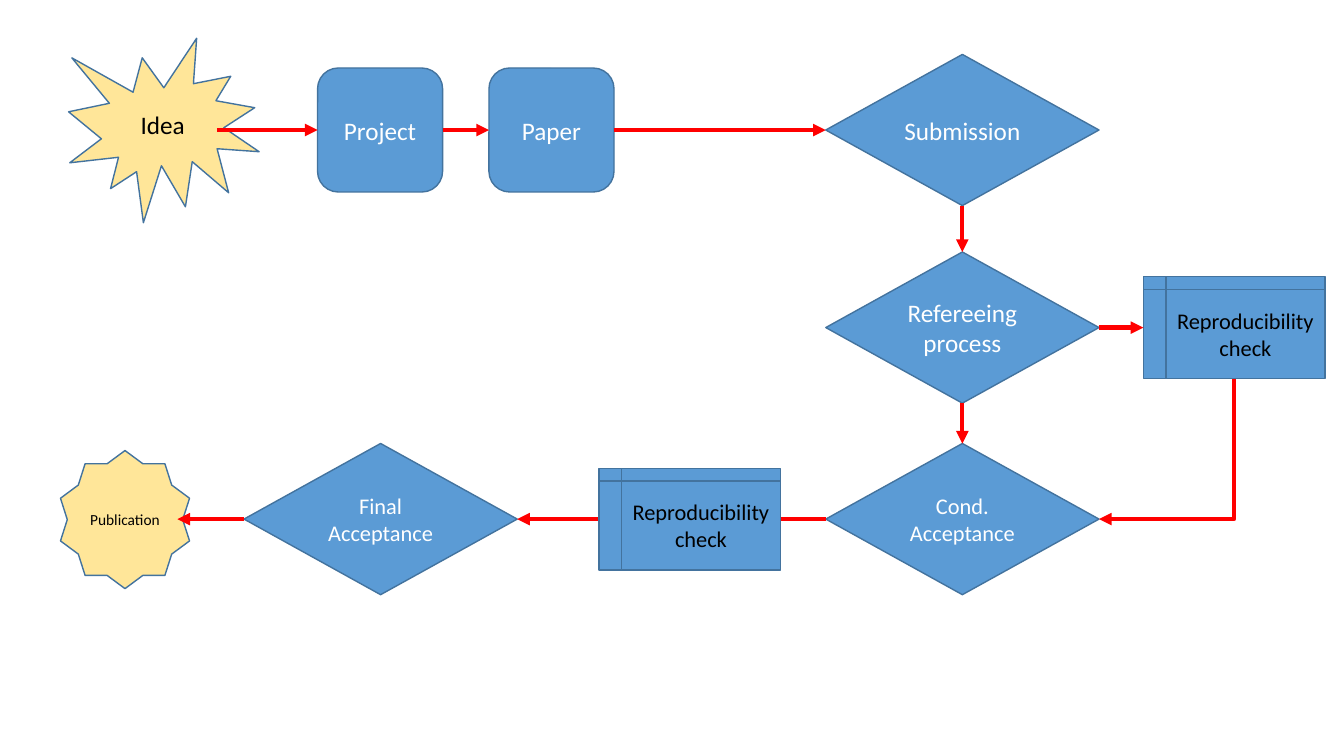
from lxml import etree
from pptx import Presentation
from pptx.dml.color import RGBColor
from pptx.enum.shapes import MSO_CONNECTOR, MSO_SHAPE
from pptx.enum.text import MSO_ANCHOR, PP_ALIGN
from pptx.oxml.ns import qn
from pptx.util import Inches, Pt

BURST, BADGE = MSO_SHAPE.EXPLOSION1, MSO_SHAPE.STAR_10_POINT
STEP = MSO_SHAPE.FLOWCHART_ALTERNATE_PROCESS
DECISION = MSO_SHAPE.FLOWCHART_DECISION
STORAGE = MSO_SHAPE.FLOWCHART_INTERNAL_STORAGE
STRAIGHT, ELBOW = MSO_CONNECTOR.STRAIGHT, MSO_CONNECTOR.ELBOW
CENTER, MIDDLE = PP_ALIGN.CENTER, MSO_ANCHOR.MIDDLE

BLUE, YELLOW, OUTLINE, RED = "5B9BD5", "FFE699", "43739E", "FF0000"
WHITE, BLACK = "FFFFFF", "000000"
STEP_W, STEP_H = 1.24, 1.23
DECISION_W, DECISION_H = 2.71, 1.5
CHECK_W, CHECK_H = 1.8, 1.01


def rgb(value):
    """Turn a hex string into a colour."""
    return RGBColor.from_string(value)


def add_node(s, kind, x, y, w, h, text, size, fill=BLUE, color=WHITE):
    """Add an outlined flowchart shape with centred text."""
    sp = s.shapes.add_shape(kind, Inches(x), Inches(y), Inches(w), Inches(h))
    sp.shadow.inherit = False
    sp.fill.solid()
    sp.fill.fore_color.rgb = rgb(fill)
    sp.line.color.rgb = rgb(OUTLINE)
    sp.line.width = Pt(1)
    tf = sp.text_frame
    tf.word_wrap = True
    tf.vertical_anchor = MIDDLE
    tf.text = text
    for p in tf.paragraphs:
        p.alignment = CENTER
        p.font.name = "Calibri"
        p.font.size = Pt(size)
        p.font.color.rgb = rgb(color)


def add_decision(s, x, y, text, size):
    """Add a decision diamond."""
    add_node(s, DECISION, x, y, DECISION_W, DECISION_H, text, size)


def add_check(s, x, mid):
    """Add a reproducibility check centred on the height mid."""
    add_node(s, STORAGE, x, mid - CHECK_H / 2, CHECK_W, CHECK_H,
             "Reproducibility check", 16, color=BLACK)


def add_arrow(s, x1, y1, x2, y2, kind=STRAIGHT):
    """Add a red connector with an arrowhead at its end."""
    c = s.shapes.add_connector(kind, Inches(x1), Inches(y1), Inches(x2), Inches(y2))
    c.line.color.rgb = rgb(RED)
    c.line.width = Pt(3)
    etree.SubElement(c.line._get_or_add_ln(), qn("a:tailEnd"), type="triangle")
    etree.SubElement(c._element.spPr, qn("a:effectLst"))
    return c


def add_corner_arrow(s, x1, y1, x2, y2):
    """Add an arrow that runs down and then left."""
    cx, cy = (x1 + x2) / 2, (y1 + y2) / 2
    across, down = (x1 - x2) / 2, (y2 - y1) / 2
    c = add_arrow(s, cx - down, cy - across, cx + down, cy + across, ELBOW)
    c._element.spPr.find(qn("a:prstGeom")).set("prst", "bentConnector2")
    c._element.spPr.find(qn("a:xfrm")).set("rot", "5400000")


def draw_preparation(s, x, y, w):
    """Draw the row from idea to paper, ending w inches from x."""
    mid = y + 0.91
    steps = [(x + 2.47, "Project"), (x + 4.17, "Paper")]
    add_node(s, BURST, x, y, 1.89, 1.83, "Idea", 18, YELLOW, BLACK)
    for left, text in steps:
        add_node(s, STEP, left, mid - STEP_H / 2, STEP_W, STEP_H, text, 18)
    starts = [x + 1.47] + [left + STEP_W for left, _ in steps]
    ends = [left for left, _ in steps] + [x + w]
    for start, end in zip(starts, ends):
        add_arrow(s, start, mid, end, mid)


def draw_review(s, x, y):
    """Draw the column of decisions and the check beside it."""
    tops = [y, y + 1.96, y + 3.86]
    labels = [("Submission", 18), ("Refereeing process", 18), ("Cond.\nAcceptance", 16)]
    for top, (text, size) in zip(tops, labels):
        add_decision(s, x, top, text, size)
    center, right = x + DECISION_W / 2, x + DECISION_W
    for top, below in zip(tops, tops[1:]):
        add_arrow(s, center, top + DECISION_H, center, below)
    referee, accept = [top + DECISION_H / 2 for top in tops[1:]]
    check = right + 0.44
    add_check(s, check, referee)
    add_arrow(s, right, referee, check, referee)
    add_corner_arrow(s, check + CHECK_W / 2, referee + CHECK_H / 2, right, accept)


def draw_publication(s, x, y, w):
    """Draw the row from conditional acceptance back to publication."""
    mid, final = y + DECISION_H / 2, x + 1.82
    add_node(s, BADGE, x, y + 0.07, 1.28, 1.37, "Publication", 11, YELLOW, BLACK)
    add_decision(s, final, y, "Final\nAcceptance", 16)
    add_arrow(s, x + w, mid, final + DECISION_W, mid)
    add_arrow(s, final, mid, x + 1.16, mid)
    add_check(s, x + 5.34, mid)


def main():
    """Build the publication workflow slide."""
    prs = Presentation()
    prs.slide_width, prs.slide_height = Inches(13.33), Inches(7.5)
    s = prs.slides.add_slide(prs.slide_layouts[6])
    draw_preparation(s, 0.68, 0.38, 7.51)
    draw_review(s, 8.19, 0.54)
    draw_publication(s, 0.6, 4.4, 7.59)
    prs.save("out.pptx")


if __name__ == "__main__":
    main()
